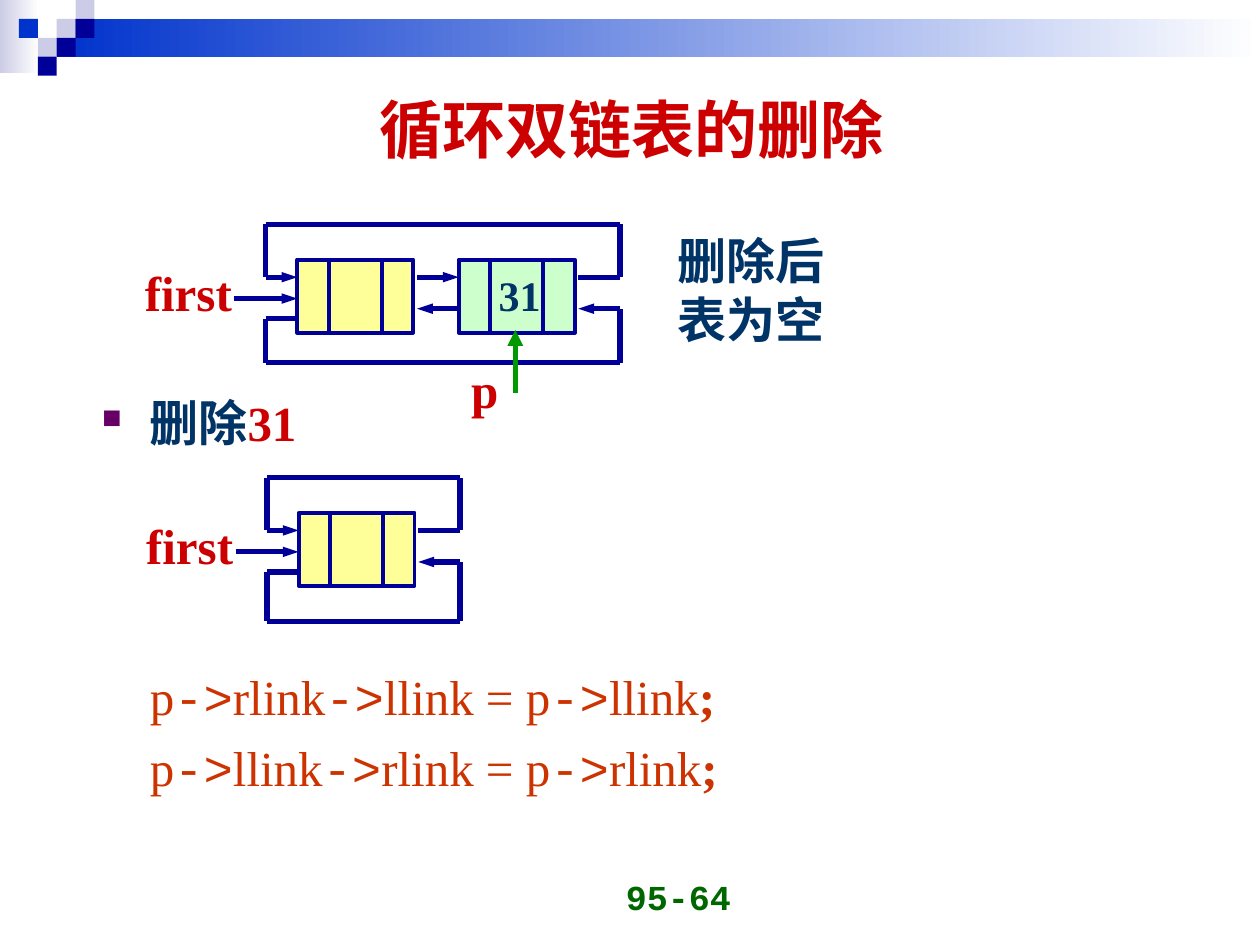
from dataclasses import dataclass
from lxml.etree import SubElement
from pptx import Presentation
from pptx.dml.color import RGBColor as RGB
from pptx.enum.shapes import MSO_CONNECTOR as LINK, MSO_SHAPE as SHAPE
from pptx.enum.text import MSO_ANCHOR as ANCHOR, PP_ALIGN as ALIGN
from pptx.oxml.ns import qn
from pptx.util import Inches, Pt


@dataclass(frozen=True)
class Theme:
    navy: str = "000099"
    blue: str = "0033CC"
    lilac: str = "CCCCE6"
    white: str = "FFFFFF"
    yellow: str = "FFFF99"
    mint: str = "CCFFCC"
    red: str = "CC0000"
    rust: str = "CC3300"
    ink: str = "003366"
    green: str = "009900"
    page_green: str = "006600"
    purple: str = "660066"
    serif: str = "Times New Roman"
    sans: str = "Arial"
    mono: str = "Courier New"
    title_size: int = 36
    body_size: int = 28
    value_size: int = 24
    page_size: int = 20
    outline: float = 2.25
    stroke: float = 3


class Page:
    def __init__(self, slide, theme):
        self.slide = slide
        self.theme = theme

    def rect(self, left, top, width, height, color, fade_to=None, line=None):
        shape = self.slide.shapes.add_shape(
            SHAPE.RECTANGLE, Inches(left), Inches(top), Inches(width), Inches(height))
        shape.shadow.inherit = False
        if fade_to:
            shape.fill.gradient()
            shape.fill.gradient_angle = 0
            for stop, shade in zip(shape.fill.gradient_stops, (color, fade_to)):
                stop.color.rgb = RGB.from_string(shade)
        else:
            shape.fill.solid()
            shape.fill.fore_color.rgb = RGB.from_string(color)
        if line:
            shape.line.color.rgb = RGB.from_string(line)
            shape.line.width = Pt(self.theme.outline)
        else:
            shape.line.fill.background()

    def line(self, start, end, color=None, width=None, arrow=None):
        link = self.slide.shapes.add_connector(
            LINK.STRAIGHT, *(Inches(value) for value in (*start, *end)))
        link.line.color.rgb = RGB.from_string(color or self.theme.navy)
        link.line.width = Pt(width or self.theme.stroke)
        if arrow:
            SubElement(link.line._get_or_add_ln(), qn("a:tailEnd"),
                       type="triangle", w=arrow, len="med")
        SubElement(link._element.spPr, qn("a:effectLst"))

    def path_of(self, points, arrow=None):
        last = len(points) - 2
        for index, (start, end) in enumerate(zip(points, points[1:])):
            self.line(start, end, arrow=arrow if index == last else None)

    def text(self, left, top, width, height, lines, frame=None, layout=None,
             bullet=False, **style):
        box = self.slide.shapes.add_textbox(
            Inches(left), Inches(top), Inches(width), Inches(height))
        frame_format = {"word_wrap": True, "vertical_anchor": ANCHOR.TOP, **(frame or {})}
        for name, value in frame_format.items():
            setattr(box.text_frame, name, value)
        for index, spans in enumerate(lines):
            first = index == 0
            para = box.text_frame.paragraphs[0] if first else box.text_frame.add_paragraph()
            for name, value in (layout or {}).items():
                if not (first and name == "space_before"):
                    setattr(para, name, value)
            if bullet:
                self.bullet(para)
            for words, change in spans:
                self.span(para, words, {**style, **change})

    def span(self, para, words, style):
        span = para.add_run()
        span.text = words
        values = {"name": self.theme.serif, "size": self.theme.body_size,
                  "bold": True, **style}
        span.font.color.rgb = RGB.from_string(values.pop("color"))
        values["size"] = Pt(values["size"])
        for name, value in values.items():
            setattr(span.font, name, value)

    def bullet(self, para):
        props = para._p.get_or_add_pPr()
        props.set("marL", str(Inches(0.38)))
        props.set("indent", str(Inches(-0.38)))
        color = SubElement(props, qn("a:buClr"))
        SubElement(color, qn("a:srgbClr"), val=self.theme.purple)
        SubElement(props, qn("a:buSzPct"), val="55000")
        SubElement(props, qn("a:buChar"), char="■")

    def label(self, left, top, width, height, words, color, **style):
        self.text(left, top, width, height, [[(words, {})]],
                  {"word_wrap": False, "vertical_anchor": ANCHOR.MIDDLE},
                  {"alignment": ALIGN.CENTER}, color=color, **style)

    def node(self, left, top, color):
        self.rect(left, top, 0.92, 0.58, color, line=self.theme.navy)
        for offset in (0.25, 0.67):
            self.line((left + offset, top), (left + offset, top + 0.58),
                      width=self.theme.outline)

    def ring(self, left, top, colors, drop):
        pitch, gap = 1.28, 0.33
        next_y, first_y, prev_y, back_y = (top + dy for dy in (0.14, 0.31, 0.39, 0.47))
        for index, color in enumerate(colors):
            self.node(left + index * pitch, top, color)
        for index in range(1, len(colors)):
            end = left + index * pitch
            self.line((end - gap, next_y), (end, next_y), arrow="sm")
            self.line((end, prev_y), (end - gap, prev_y), arrow="sm")
        outer_left = left - 0.25
        exit_x = left + len(colors) * pitch - gap
        outer_right = exit_x + gap
        roof, floor = top - 0.28, top + drop
        self.path_of([(exit_x, next_y), (outer_right, next_y), (outer_right, roof),
                      (outer_left, roof), (outer_left, next_y), (left, next_y)], "sm")
        self.path_of([(left, back_y), (outer_left, back_y), (outer_left, floor),
                      (outer_right, floor), (outer_right, prev_y), (exit_x, prev_y)], "sm")
        self.line((left - 0.5, first_y), (left, first_y), arrow="sm")
        self.label(left - 1.31, top - 0.03, 0.89, 0.57, "first", self.theme.red)

    def banner(self):
        theme, cell = self.theme, 0.15
        self.rect(0, 0, 0.31, 0.58, theme.lilac, theme.white)
        self.rect(0.45, cell, 9.55, 0.3, theme.blue, theme.white)
        for column, row, color in (
                (3, 1, theme.lilac), (4, 0, theme.lilac), (4, 1, theme.navy),
                (2, 2, theme.lilac), (1, 1, theme.blue), (3, 2, theme.navy),
                (2, 3, theme.navy)):
            self.rect(column * cell, row * cell, cell, cell, color)

    def code(self, left, top, width, height, statements):
        lines = []
        for statement in statements:
            spans = []
            for index, part in enumerate(statement.split("->")):
                if index:
                    spans.append(("->", {"name": self.theme.mono}))
                spans.append((part, {}))
            lines.append(spans + [(";", {"bold": True})])
        self.text(left, top, width, height, lines,
                  layout={"line_spacing": 1.05, "space_before": Pt(5.2)},
                  color=self.theme.rust, bold=False)


def main():
    theme = Theme()
    deck = Presentation()
    deck.slide_width, deck.slide_height = Inches(10), Inches(7.5)
    page = Page(deck.slides.add_slide(deck.slide_layouts[6]), theme)

    page.banner()
    page.text(0.51, 0.44, 9, 1.16, [[("循环双链表的删除", {})]],
              {"vertical_anchor": ANCHOR.MIDDLE}, {"alignment": ALIGN.CENTER},
              size=theme.title_size, color=theme.red)
    page.ring(2.36, 2.06, (theme.yellow, theme.mint), 0.82)
    page.label(3.86, 2.09, 0.53, 0.5, "31", theme.ink, size=theme.value_size)
    page.line((4.09, 3.12), (4.09, 2.62), theme.green, arrow="med")
    page.label(3.64, 2.8, 0.41, 0.57, "p", theme.red)
    page.text(5.28, 1.78, 1.69, 1.04, [[("删除后", {})], [("表为空", {})]],
              name=theme.sans, color=theme.ink)
    page.text(0.71, 3.04, 2.8, 0.6, [[("删除", {}), ("31", {"color": theme.red})]],
              layout={"line_spacing": 1.05}, bullet=True, color=theme.ink)
    page.ring(2.37, 4.07, (theme.yellow,), 0.86)
    page.code(1.09, 5.22, 8.62, 1.2,
              ("p->rlink->llink = p->llink", "p->llink->rlink = p->rlink"))
    page.text(3.57, 6.83, 2.33, 0.5, [[("95-64", {})]],
              {"vertical_anchor": ANCHOR.BOTTOM}, {"alignment": ALIGN.RIGHT},
              name=theme.mono, size=theme.page_size, color=theme.page_green)
    deck.save("out.pptx")


if __name__ == "__main__":
    main()
